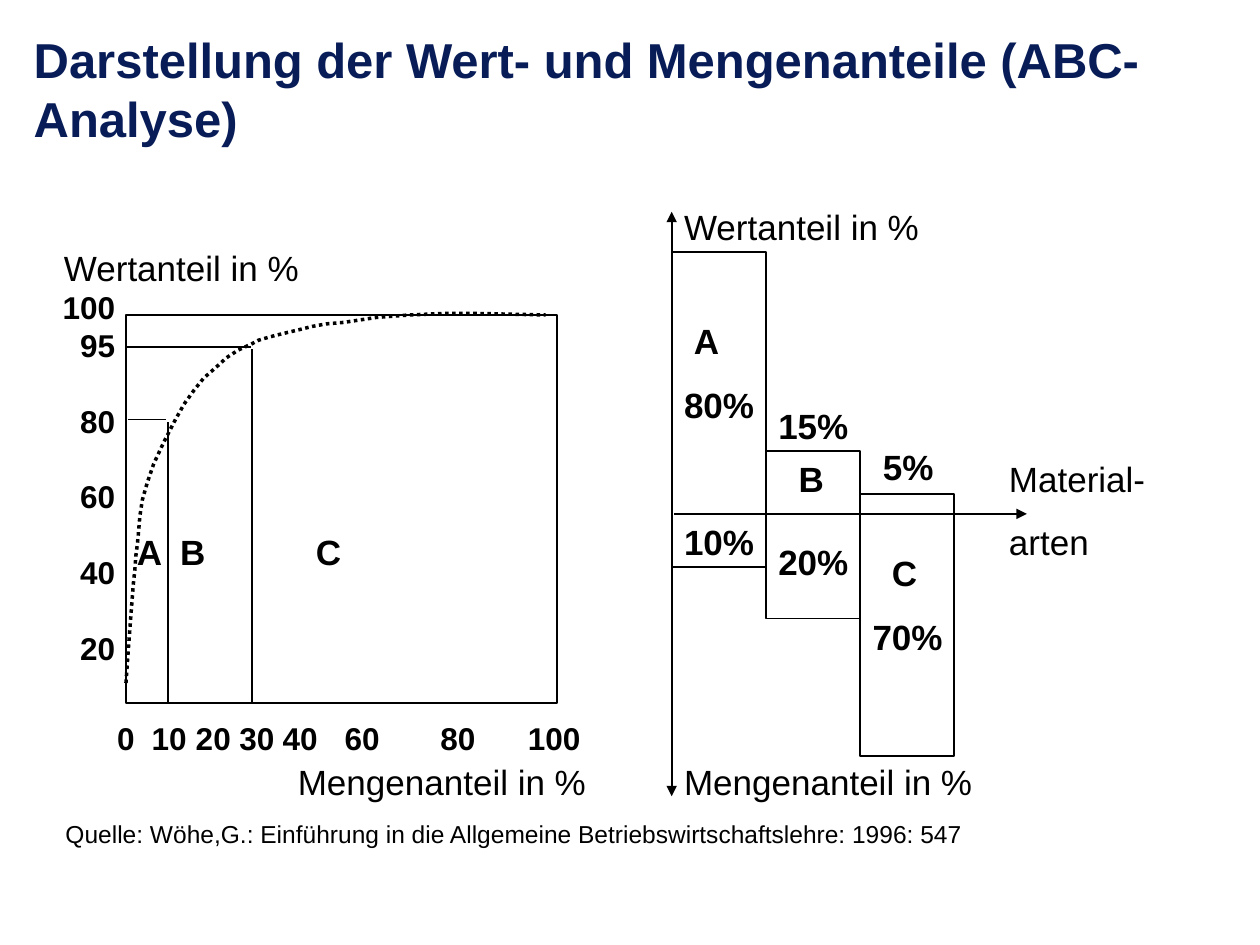
from lxml import etree
from pptx import Presentation
from pptx import util as u
from pptx.dml import color
from pptx.enum import dml, shapes, text
from pptx.oxml import ns

Cm, Pt = u.Cm, u.Pt
HUES = {"ink": "000000", "title": "081D58"}
LEFT, RIGHT = text.PP_ALIGN.LEFT, text.PP_ALIGN.RIGHT
CURVE = [
    (0, 742), (5, 671), (10, 605), (15, 541), (18, 513), (20, 485),
    (23, 462), (25, 442), (28, 406), (33, 373), (43, 338), (56, 300),
    (76, 257), (97, 216), (107, 198), (117, 180), (137, 152), (157, 127),
    (180, 107), (203, 86), (226, 71), (254, 58), (267, 51), (284, 46),
    (302, 41), (323, 36), (348, 30), (376, 23), (404, 18), (439, 15),
    (505, 5), (572, 0), (640, -3), (709, -3), (846, 0),
]


def rgb(hue):
    return color.RGBColor.from_string(HUES[hue])


def label(slide, box, lines, size=20, bold=False, hue="ink", align=LEFT, gap=12.5):
    shape = slide.shapes.add_textbox(*map(Cm, box))
    frame = shape.text_frame
    frame.word_wrap = True
    frame.text = "\n".join(lines)
    for row, para in enumerate(frame.paragraphs):
        para.alignment = align
        para.line_spacing = Pt(size * 1.2)
        if row:
            para.space_before = Pt(gap)
        for run in para.runs:
            font = run.font
            font.name, font.size, font.bold = "Arial", Pt(size), bold
            font.color.rgb = rgb(hue)
    return frame


def stroke(shape, width=1):
    shape.line.color.rgb = rgb("ink")
    shape.line.width = Pt(width)


def rule(slide, x1, y1, x2, y2, *ends):
    line = slide.shapes.add_connector(
        shapes.MSO_CONNECTOR.STRAIGHT, Cm(x1), Cm(y1), Cm(x2), Cm(y2))
    stroke(line)
    props = line.line._get_or_add_ln()
    for end in ends:
        etree.SubElement(props, ns.qn("a:" + end), type="triangle")
    etree.SubElement(line._element.spPr, ns.qn("a:effectLst"))


def frame_box(slide, x, y, w, h):
    shape = slide.shapes.add_shape(
        shapes.MSO_SHAPE.RECTANGLE, Cm(x), Cm(y), Cm(w), Cm(h))
    shape.fill.background()
    shape.shadow.inherit = False
    stroke(shape)


def add_curve(slide, x, y):
    pen = slide.shapes.build_freeform(*CURVE[0], scale=Cm(0.01))
    pen.add_line_segments(CURVE[1:], close=False)
    shape = pen.convert_to_shape(Cm(x), Cm(y))
    shape.fill.background()
    shape.shadow.inherit = False
    stroke(shape, 2)
    shape.line.dash_style = dml.MSO_LINE.ROUND_DOT


def add_scale(slide, x, y):
    ticks = {10: 1.05, 20: 1.94, 30: 2.82, 40: 3.69, 60: 4.94, 80: 6.87, 100: 8.81}
    words = "\t".join(["0", *map(str, ticks)])
    frame = label(slide, (x, y, 10.39, 1.02), [words], 18, True)
    props = frame.paragraphs[0]._p.get_or_add_pPr()
    stops = etree.SubElement(props, ns.qn("a:tabLst"))
    for pos in ticks.values():
        etree.SubElement(stops, ns.qn("a:tab"), pos=str(Cm(pos)), algn="ctr")


def add_plot(slide, x, y, w, h):
    frame_box(slide, x, y, w, h)
    add_curve(slide, x, y)
    for x1, y1, x2, y2 in [
        (0, 0.64, 2.51, 0.64), (0.05, 2.11, 0.81, 2.11),
        (0.84, 2.16, 0.84, h - 0.02), (2.54, 0.69, 2.54, h - 0.02),
    ]:
        rule(slide, x + x1, y + y1, x + x2, y + y2)
    label(slide, (x - 1.5, y - 1.5, 6.58, 1.09), ["Wertanteil in %"])
    label(slide, (x + 1.68, y + 8.86, 7.85, 1.09), ["Mengenanteil in %"], align=RIGHT)
    for name, left in [("A", -0.03), ("B", 0.84), ("C", 3.58)]:
        label(slide, (x + left, y + 4.22, 1.5, 1.09), [name], bold=True)
    marks = label(slide, (x - 1.7, y - 0.66, 1.73, 7.87),
                  ["100", "95", "80", "60", "40", "20"], 18, True, align=RIGHT, gap=21.6)
    marks.paragraphs[1].space_before = Pt(0)
    add_scale(slide, x - 0.43, y + 8.03)


def add_bars(slide, x, y, w):
    mid = y + 5.28
    rule(slide, x, y - 0.81, x, y + 10.97, "headEnd", "tailEnd")
    rule(slide, x + 0.05, mid, x + 7.16, mid, "tailEnd")
    for col, (top, high) in enumerate([(0, 6.35), (4.01, 3.38), (4.88, 5.28)]):
        frame_box(slide, x + col * w, y + top, w, high)
    for left, top, wide, lines in [
        (0, -1.07, 6.58, ["Wertanteil in %"]),
        (0, 10.13, 7.85, ["Mengenanteil in %"]),
        (6.55, 4.01, 5.3, ["Material-", "arten"]),
    ]:
        label(slide, (x + left, y + top, wide, 1.09), lines)
    for left, top, inset, lines in [
        (0, 1.24, 0.2, ["A", "80%"]), (0, 5.28, 0, ["10%"]),
        (w, 2.95, 0, ["15%"]), (2.31, 4.01, 0, ["B"]),
        (w, 5.69, 0, ["20%"]), (4.01, 3.78, 0, ["5%"]),
        (2 * w, 5.92, 0.39, ["C", "70%"]),
    ]:
        frame = label(slide, (x + left, y + top, 2.13, 1.09), lines, bold=True)
        if inset:
            frame.paragraphs[0]._p.get_or_add_pPr().set("marL", str(Cm(inset)))


def add_title(slide, *box):
    frame = label(slide, box, ["Darstellung der Wert- und Mengenanteile (ABC-Analyse)"],
                  28, True, "title")
    frame.vertical_anchor = text.MSO_ANCHOR.BOTTOM


def add_source(slide, *box):
    label(slide, box, ["Quelle: Wöhe,G.: Einführung in die Allgemeine "
                       "Betriebswirtschaftslehre: 1996: 547"], 14)


def main():
    deck = Presentation()
    deck.slide_width, deck.slide_height = Cm(25.4), Cm(19.05)
    slide = deck.slides.add_slide(deck.slide_layouts[6])
    add_title(slide, 0.43, 0.3, 24.49, 2.79)
    add_plot(slide, 2.54, 6.35, 8.69, 7.82)
    add_bars(slide, 13.54, 5.08, 1.9)
    add_source(slide, 1.07, 16.38, 22.2, 0.84)
    deck.save("out.pptx")


if __name__ == "__main__":
    main()
